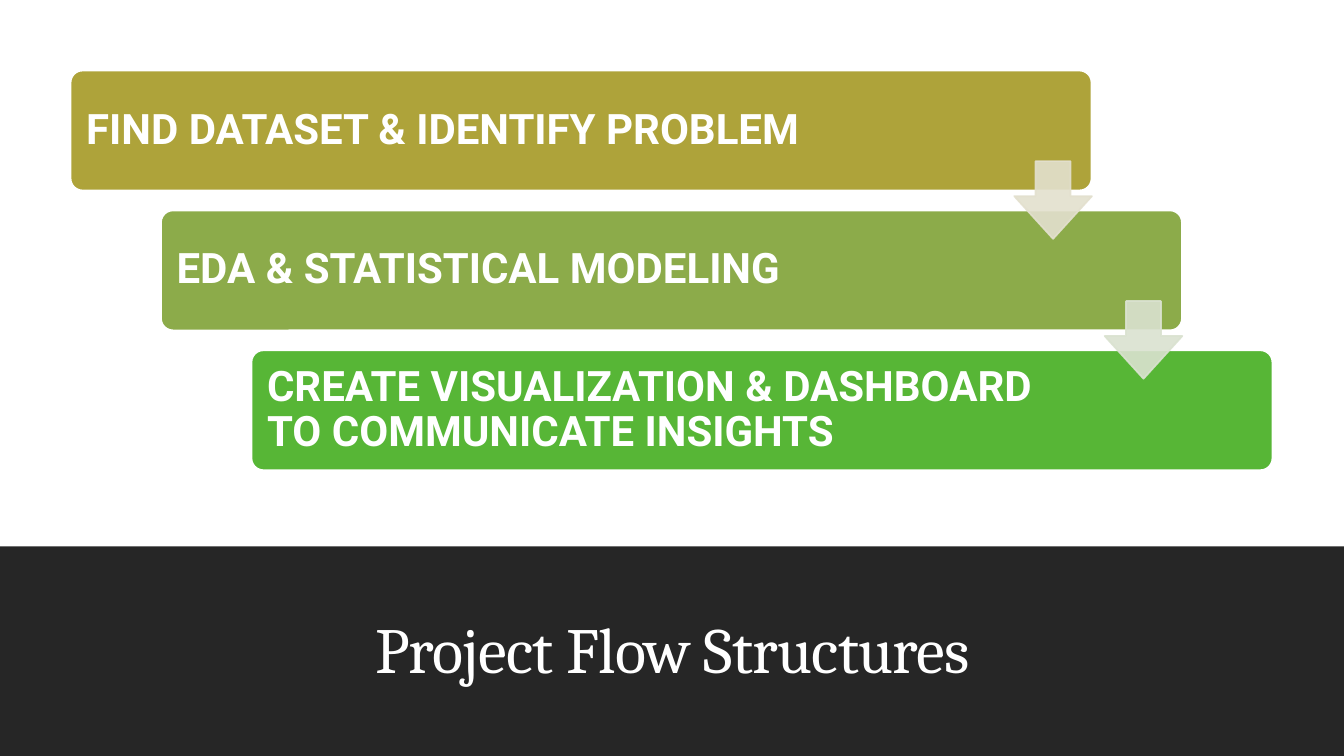
import pptx
import pptx.dml.color
import pptx.enum.shapes
import pptx.enum.text
import pptx.oxml.ns
import pptx.util
import lxml.etree

RGBColor = pptx.dml.color.RGBColor
MSO_SHAPE = pptx.enum.shapes.MSO_SHAPE
PP_ALIGN = pptx.enum.text.PP_ALIGN
MSO_ANCHOR = pptx.enum.text.MSO_ANCHOR

WHITE = RGBColor(0xFF, 0xFF, 0xFF)
CHARCOAL = RGBColor(0x26, 0x26, 0x26)
OLIVE = RGBColor(0xAE, 0xA3, 0x3A)
MOSS = RGBColor(0x8C, 0xAB, 0x4A)
GREEN = RGBColor(0x57, 0xB6, 0x36)
PALE_OLIVE = RGBColor(0xE3, 0xE0, 0xCE)
PALE_MOSS = RGBColor(0xDA, 0xE2, 0xD0)

STEPS = [
    ("FIND DATASET & IDENTIFY PROBLEM", OLIVE),
    ("EDA & STATISTICAL MODELING", MOSS),
    ("CREATE VISUALIZATION & DASHBOARD TO COMMUNICATE INSIGHTS", GREEN),
]
ARROW_COLORS = [PALE_OLIVE, PALE_MOSS]

# Offset from one step to the next, in percent of the slide's size
STEP_RIGHT, STEP_DOWN = 6.73, 18.5


def apply(target, values):
    for name, value in values.items():
        setattr(target, name, value)


class FlowSlide:
    TITLE_FONT = {"name": "Cambria", "size": pptx.util.Pt(46), "bold": False}
    STEP_FONT = {"name": "Roboto", "size": pptx.util.Pt(30), "bold": True}
    STEP_FRAME = {
        "word_wrap": True,
        "vertical_anchor": MSO_ANCHOR.MIDDLE,
        "margin_left": pptx.util.Inches(0.12),
        "margin_right": pptx.util.Inches(1.78),
        "margin_top": pptx.util.Inches(0.12),
        "margin_bottom": pptx.util.Inches(0.12),
    }
    TITLE_FRAME = {
        "word_wrap": True,
        "vertical_anchor": MSO_ANCHOR.BOTTOM,
        "auto_size": pptx.enum.text.MSO_AUTO_SIZE.NONE,
    }

    def __init__(self, deck):
        self.deck = deck
        self.slide = deck.slides.add_slide(deck.slide_layouts[5])
        background = self.slide.background.fill
        background.solid()
        background.fore_color.rgb = WHITE

    def box(self, left, top, width, height):
        """Turn percentages of the slide's size into lengths."""
        across, down = self.deck.slide_width, self.deck.slide_height
        return [round(share * size / 100) for share, size in
                ((left, across), (top, down), (width, across), (height, down))]

    def shape(self, kind, place, color, outline=None, adjustments=()):
        shape = self.slide.shapes.add_shape(kind, *self.box(*place))
        shape.shadow.inherit = False
        shape.fill.solid()
        shape.fill.fore_color.rgb = color
        if outline is None:
            shape.line.fill.background()
        else:
            shape.line.color.rgb = outline
            shape.line.width = pptx.util.Pt(1.25)
        for index, value in enumerate(adjustments):
            shape.adjustments[index] = value
        return shape

    def text(self, frame, words, frame_format, font_format, align):
        apply(frame, frame_format)
        frame.text = words
        paragraph = frame.paragraphs[0]
        apply(paragraph, {"alignment": align, "line_spacing": 0.9})
        font = paragraph.runs[0].font
        apply(font, font_format)
        font.color.rgb = WHITE
        return font

    def step(self, index, words, color):
        place = (5.25 + index * STEP_RIGHT, 9.33 + index * STEP_DOWN, 75.97, 15.87)
        bar = self.shape(MSO_SHAPE.ROUNDED_RECTANGLE, place, color, WHITE, [0.1])
        self.text(bar.text_frame, words, self.STEP_FRAME, self.STEP_FONT, PP_ALIGN.LEFT)

    def arrow(self, index, color):
        place = (75.47 + index * STEP_RIGHT, 21.33 + index * STEP_DOWN, 5.77, 10.27)
        arrow = self.shape(MSO_SHAPE.DOWN_ARROW, place, color, color, [0.45, 0.55])
        # 90 % opacity for both fill and outline
        qn = pptx.oxml.ns.qn
        for tint in arrow._element.spPr.iter(qn("a:srgbClr")):
            lxml.etree.SubElement(tint, qn("a:alpha"), val="90000")

    def title(self, words):
        title = self.slide.shapes.title
        places = self.box(8.78, 76.53, 82.5, 15.07)
        apply(title, dict(zip(("left", "top", "width", "height"), places)))
        font = self.text(title.text_frame, words, self.TITLE_FRAME,
                         self.TITLE_FONT, PP_ALIGN.CENTER)
        font._element.set("spc", "-50")
        # Bring the title in front of the band
        self.slide.shapes._spTree.append(title._element)


def main():
    deck = pptx.Presentation()
    deck.slide_width = pptx.util.Inches(13.33)
    deck.slide_height = pptx.util.Inches(7.5)
    flow = FlowSlide(deck)

    # Title band
    flow.shape(MSO_SHAPE.RECTANGLE, (0, 72.27, 100, 27.73), CHARCOAL)
    flow.title("Project Flow Structures")

    # Staircase of steps, then the arrows between them
    for index, (words, color) in enumerate(STEPS):
        flow.step(index, words, color)
    for index, color in enumerate(ARROW_COLORS):
        flow.arrow(index, color)

    deck.save("out.pptx")


if __name__ == "__main__":
    main()
